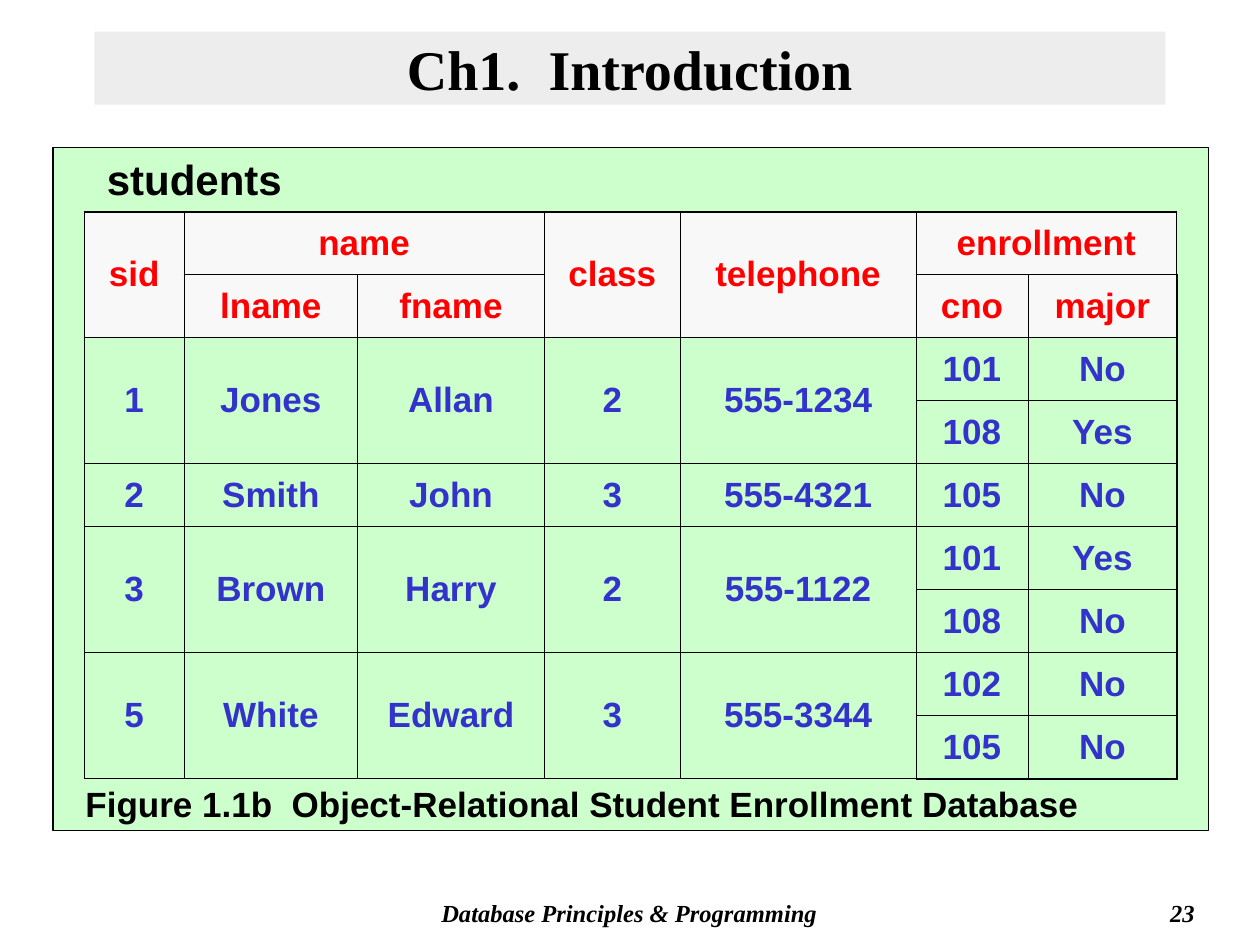
from lxml import etree
from pptx import Presentation
from pptx.dml.color import RGBColor
from pptx.enum.shapes import MSO_SHAPE
from pptx.enum.text import MSO_ANCHOR, PP_ALIGN
from pptx.oxml.ns import qn
from pptx.util import Inches, Pt

# Content: "<" continues the cell to the left, "^" the cell above
ROWS = [
    ["sid", "name", "<", "class", "telephone", "enrollment", "<"],
    ["^", "lname", "fname", "^", "^", "cno", "major"],
    ["1", "Jones", "Allan", "2", "555-1234", "101", "No"],
    ["^", "^", "^", "^", "^", "108", "Yes"],
    ["2", "Smith", "John", "3", "555-4321", "105", "No"],
    ["3", "Brown", "Harry", "2", "555-1122", "101", "Yes"],
    ["^", "^", "^", "^", "^", "108", "No"],
    ["5", "White", "Edward", "3", "555-3344", "102", "No"],
    ["^", "^", "^", "^", "^", "105", "No"],
]
HEADER_ROWS = 2
COL_WIDTHS = [0.79, 1.38, 1.48, 1.08, 1.87, 0.89, 1.18]
ROW_HEIGHT = 0.5
COLORS = {"black": "000000", "panel": "CCFFCC", "title": "DDDDDD",
          "header": "F8F8F8", "red": "FF0000", "blue": "3333CC"}
THIN, THICK = 0.45, 1.08

SERIF = {"name": "Times New Roman", "bold": True}
SANS = {"name": "Arial", "bold": True}
FOOTER = {**SERIF, "size": Pt(14), "italic": True}
TEXTS = [  # text, box, font, paragraph format
    ("Database Principles & Programming", (2.83, 7.08, 4.33, 0.33), FOOTER,
     {"alignment": PP_ALIGN.CENTER}),
    ("23", (7.5, 7.08, 2.08, 0.33), FOOTER, {"alignment": PP_ALIGN.RIGHT}),
    ("Figure 1.1b  Object-Relational Student Enrollment Database",
     (0.58, 6.16, 9, 0.5), {**SANS, "size": Pt(20)}, {"space_before": Pt(5)}),
    ("students", (0.75, 1.17, 1.67, 0.5), {**SANS, "size": Pt(24)},
     {"space_before": Pt(15)}),
]


def rgb(name):
    return RGBColor.from_string(COLORS[name])


def write(tf, text, font, para, color="black"):
    p = tf.paragraphs[0]
    r = p.add_run()
    r.text = text
    for target, values in ((p, para), (r.font, font)):
        for key, value in values.items():
            setattr(target, key, value)
    r.font.color.rgb = rgb(color)


def add_rect(box, color):
    sp = s.shapes.add_shape(MSO_SHAPE.RECTANGLE, *map(Inches, box))
    sp.shadow.inherit = False
    sp.fill.solid()
    sp.fill.fore_color.rgb = rgb(color)
    return sp


def set_borders(cell, widths):
    tcPr = cell._tc.get_or_add_tcPr()
    for i, (side, width) in enumerate(zip("LRTB", widths)):
        ln = etree.Element(qn(f"a:ln{side}"), w=str(Pt(width)))
        fill = etree.SubElement(ln, qn("a:solidFill"))
        etree.SubElement(fill, qn("a:srgbClr"), val=COLORS["black"])
        tcPr.insert(i, ln)


prs = Presentation()
prs.slide_width, prs.slide_height = Inches(10), Inches(7.5)
s = prs.slides.add_slide(prs.slide_layouts[6])

# Green panel
panel = add_rect((0.42, 1.17, 9.17, 5.42), "panel")
panel.line.color.rgb = rgb("black")
panel.line.width = Pt(0.74)

# Title on a half-transparent band
title = add_rect((0.75, 0.25, 8.5, 0.58), "title")
title.line.fill.background()
tint = title.fill._xPr.find(".//" + qn("a:srgbClr"))
etree.SubElement(tint, qn("a:alpha"), val="50000")
title.text_frame.vertical_anchor = MSO_ANCHOR.MIDDLE
write(title.text_frame, "Ch1.  Introduction", {**SERIF, "size": Pt(32)},
      {"alignment": PP_ALIGN.CENTER})

# Footer, slide number, caption and table name
for text, box, font, para in TEXTS:
    tf = s.shapes.add_textbox(*map(Inches, box)).text_frame
    tf.word_wrap = True
    write(tf, text, font, para)

# Table
n_rows, n_cols = len(ROWS), len(COL_WIDTHS)
table = s.shapes.add_table(
    n_rows, n_cols, Inches(0.67), Inches(1.68),
    Inches(sum(COL_WIDTHS)), Inches(n_rows * ROW_HEIGHT)).table
table.first_row = table.horz_banding = False
for col, width in zip(table.columns, COL_WIDTHS):
    col.width = Inches(width)
for row in table.rows:
    row.height = Inches(ROW_HEIGHT)

for i, row in enumerate(ROWS):
    for j, text in enumerate(row):
        cell = table.cell(i, j)
        is_header = i < HEADER_ROWS
        if is_header:
            cell.fill.solid()
            cell.fill.fore_color.rgb = rgb("header")
        else:
            cell.fill.background()
        outer = (j == 0, j == n_cols - 1, i == 0, i == n_rows - 1)
        set_borders(cell, [THICK if edge else THIN for edge in outer])
        if text in ("<", "^"):
            continue
        last_row, last_col = i, j
        while last_row + 1 < n_rows and ROWS[last_row + 1][j] == "^":
            last_row += 1
        while last_col + 1 < n_cols and row[last_col + 1] == "<":
            last_col += 1
        if (last_row, last_col) != (i, j):
            cell.merge(table.cell(last_row, last_col))
        cell.vertical_anchor = MSO_ANCHOR.MIDDLE
        write(cell.text_frame, text, {**SANS, "size": Pt(20)},
              {"alignment": PP_ALIGN.CENTER, "space_before": Pt(5)},
              "red" if is_header else "blue")

prs.save("out.pptx")
